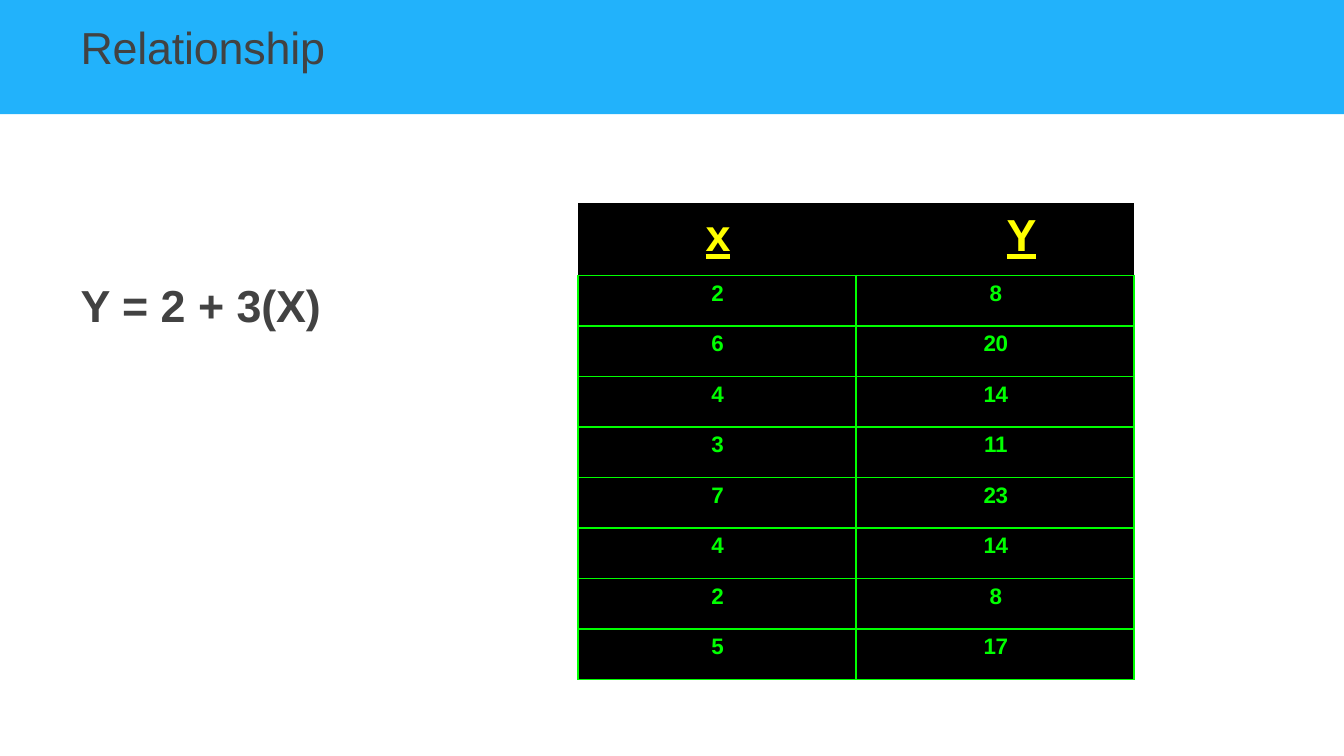
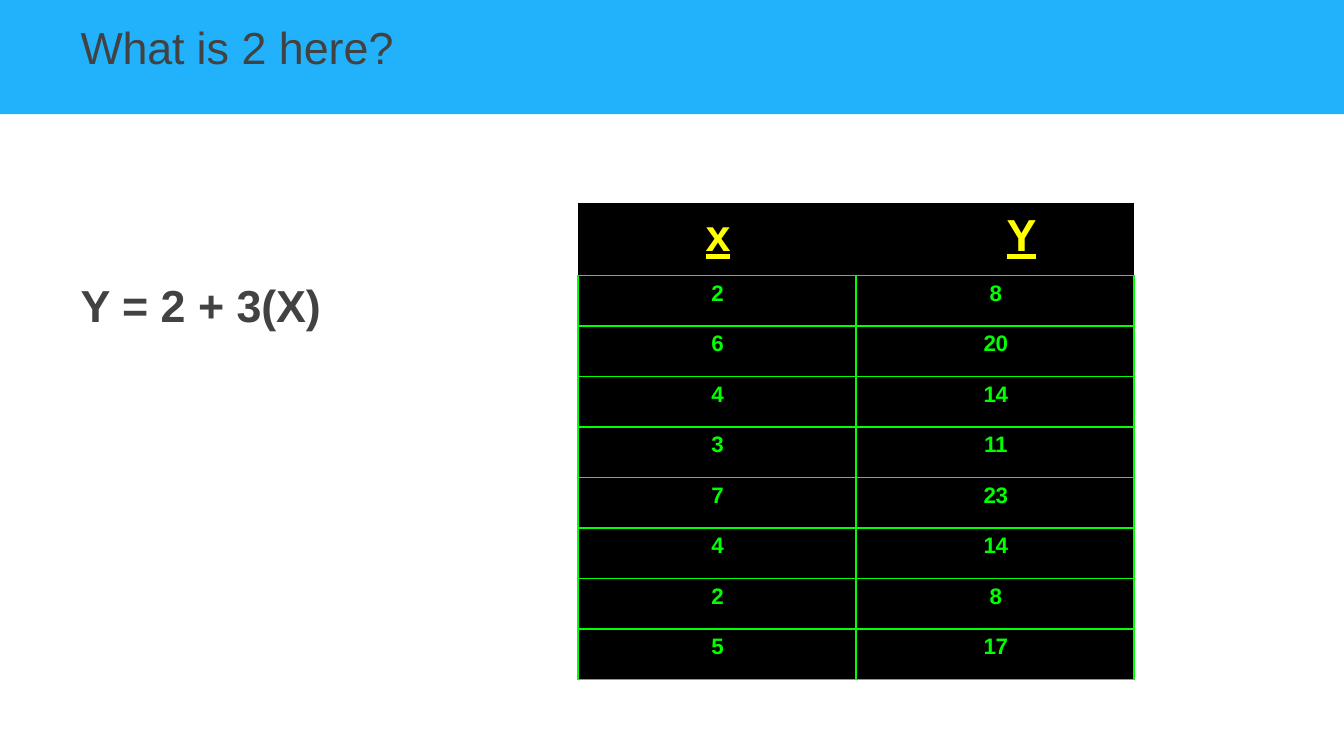
from dataclasses import dataclass
from typing import Any, Optional

import pptx
import pptx.dml.color
import pptx.enum.shapes
import pptx.enum.text
import pptx.oxml.ns
import pptx.util
from lxml import etree

Inches = pptx.util.Inches
Pt = pptx.util.Pt
Align = pptx.enum.text.PP_ALIGN
HEAVY = pptx.enum.text.MSO_UNDERLINE.HEAVY_LINE

COLORS = {
    "band": "22B2FB",
    "text": "424242",
    "table": "000000",
    "heading": "FFFF00",
    "value": "00FF00",
}
FONT = "Arial"
TIGHT = -0.1
SLIDE_WIDTH = 10
SLIDE_HEIGHT = SLIDE_WIDTH * 9 / 16
TABLE_LEFT, TABLE_TOP = 4.3, 1.51
TABLE_WIDTH, TABLE_HEIGHT = 4.14, 3.55
HEADER_HEIGHT = 0.54
X_VALUES = (2, 6, 4, 3, 7, 4, 2, 5)


@dataclass(frozen=True)
class Run:
    text: str
    spacing: float = 0
    underlined: bool = False


@dataclass(frozen=True)
class Label:
    left: float
    top: float
    width: float
    runs: tuple[Run, ...]
    bold: bool = False


FORMULA = Label(0.59, 2.05, 1.82, (Run("Y = 2 + "), Run("3(X)", TIGHT)), True)
TITLES = (
    Label(0.59, 0.13, 1.87, (Run("Relationship", TIGHT),)),
    Label(0.59, 0.13, 2.36, (Run("What ", TIGHT), Run("is 2 here?"))),
)
HEADER = (Run("x", underlined=True), Run("\t"), Run("Y", underlined=True))


def rgb(name: str) -> pptx.dml.color.RGBColor:
    return pptx.dml.color.RGBColor.from_string(COLORS[name])


def write_text(
    text_frame: Any,
    runs: tuple[Run, ...],
    *,
    size: float = 24,
    color: str = "text",
    bold: bool = False,
    align: Align = Align.LEFT,
    indent: float = 0.01,
    tab: Optional[float] = None,
) -> None:
    paragraph = text_frame.paragraphs[0]
    properties = paragraph._p.get_or_add_pPr()
    properties.set("marL", str(Inches(indent)))
    if tab is not None:
        tabs = etree.SubElement(properties, pptx.oxml.ns.qn("a:tabLst"))
        etree.SubElement(tabs, pptx.oxml.ns.qn("a:tab"), pos=str(Inches(tab)), algn="l")
    paragraph.alignment = align
    for item in runs:
        run = paragraph.add_run()
        run.text = item.text
        run.font.name = FONT
        run.font.size = Pt(size)
        run.font.bold = bold
        run.font.underline = HEAVY if item.underlined else False
        run.font.color.rgb = rgb(color)
        if item.spacing:
            run.font._element.set("spc", str(round(item.spacing * 100)))


def add_band(slide: Any) -> None:
    band = slide.shapes.add_shape(
        pptx.enum.shapes.MSO_SHAPE.RECTANGLE, 0, 0, Inches(SLIDE_WIDTH), Inches(0.85)
    )
    band.shadow.inherit = False
    band.fill.solid()
    band.fill.fore_color.rgb = rgb("band")
    band.line.fill.background()


def add_label(slide: Any, label: Label) -> None:
    box = slide.shapes.add_textbox(
        Inches(label.left), Inches(label.top), Inches(label.width), Inches(0.43)
    )
    text_frame = box.text_frame
    text_frame.word_wrap = True
    text_frame.margin_left = text_frame.margin_right = text_frame.margin_bottom = 0
    text_frame.margin_top = Inches(0.02)
    write_text(text_frame, label.runs, bold=label.bold)


def format_cell(cell: Any, margin_top: float, sides: str) -> None:
    cell.margin_left = cell.margin_right = cell.margin_bottom = 0
    cell.margin_top = Inches(margin_top)
    cell.fill.solid()
    cell.fill.fore_color.rgb = rgb("table")
    properties = cell._tc.get_or_add_tcPr()
    for position, side in enumerate("LRTB"):
        line = etree.Element(pptx.oxml.ns.qn(f"a:ln{side}"), w=str(Pt(1)))
        properties.insert(position, line)
        if side in sides:
            fill = etree.SubElement(line, pptx.oxml.ns.qn("a:solidFill"))
            etree.SubElement(fill, pptx.oxml.ns.qn("a:srgbClr"), val=COLORS["value"])
        else:
            etree.SubElement(line, pptx.oxml.ns.qn("a:noFill"))


def add_value_table(slide: Any) -> None:
    table = slide.shapes.add_table(
        len(X_VALUES) + 1,
        2,
        Inches(TABLE_LEFT),
        Inches(TABLE_TOP),
        Inches(TABLE_WIDTH),
        Inches(TABLE_HEIGHT),
    ).table
    table.first_row = False
    table.horz_banding = False
    for column in table.columns:
        column.width = Inches(TABLE_WIDTH / 2)
    for row in table.rows:
        row.height = Inches((TABLE_HEIGHT - HEADER_HEIGHT) / len(X_VALUES))
    table.rows[0].height = Inches(HEADER_HEIGHT)

    header = table.cell(0, 0)
    header.merge(table.cell(0, 1))
    for cell in table.rows[0].cells:
        format_cell(cell, 0.06, "B")
    write_text(header.text_frame, HEADER, color="heading", bold=True, indent=0.95, tab=3)

    for row_index, x_value in enumerate(X_VALUES, start=1):
        for column_index, value in enumerate((x_value, 2 + 3 * x_value)):
            cell = table.cell(row_index, column_index)
            format_cell(cell, 0.04, "LRTB")
            spacing = TIGHT if value >= 10 else 0
            write_text(
                cell.text_frame,
                (Run(str(value), spacing),),
                size=12,
                color="value",
                bold=True,
                align=Align.CENTER,
            )


def main() -> None:
    presentation = pptx.Presentation()
    presentation.slide_width = Inches(SLIDE_WIDTH)
    presentation.slide_height = Inches(SLIDE_HEIGHT)
    for title in TITLES:
        slide = presentation.slides.add_slide(presentation.slide_layouts[6])
        add_band(slide)
        add_label(slide, FORMULA)
        add_label(slide, title)
        add_value_table(slide)
    presentation.save("out.pptx")


if __name__ == "__main__":
    main()
